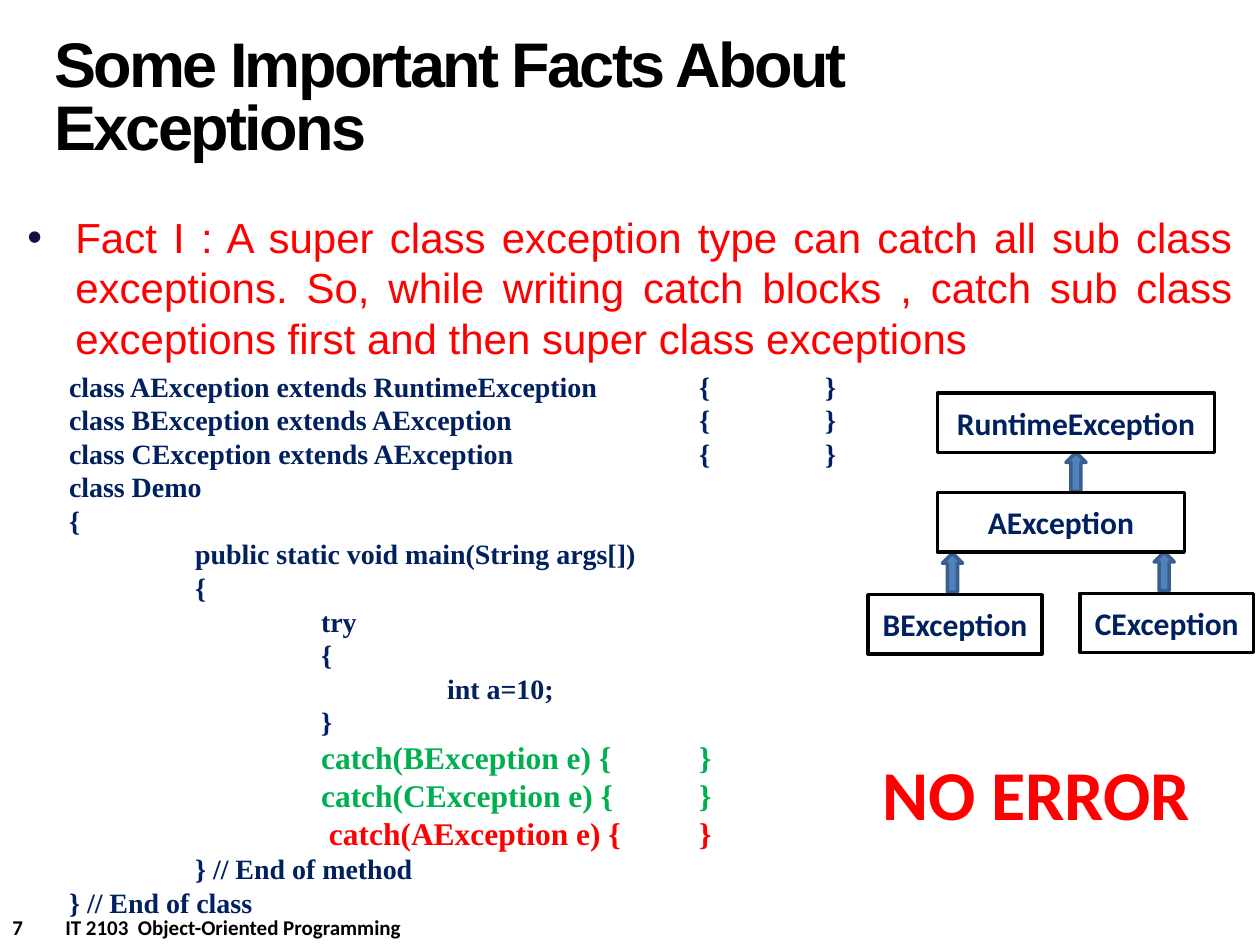
from lxml import etree
from pptx import Presentation
from pptx.dml.color import RGBColor
from pptx.enum.shapes import MSO_SHAPE
from pptx.enum.text import MSO_ANCHOR, PP_ALIGN
from pptx.oxml.ns import qn
from pptx.util import Inches, Pt

RECTANGLE, UP_ARROW = MSO_SHAPE.RECTANGLE, MSO_SHAPE.UP_ARROW
MIDDLE = MSO_ANCHOR.MIDDLE
LEFT, CENTER, JUSTIFY = PP_ALIGN.LEFT, PP_ALIGN.CENTER, PP_ALIGN.JUSTIFY
NAVY, RED, GREEN, BLACK = "002060", "FF0000", "00B050", "000000"


def color(value):
    return RGBColor.from_string(value)


def style(paragraph, size, name, value, bold=True, align=LEFT):
    paragraph.alignment = align
    font = paragraph.font
    font.size, font.name, font.bold = Pt(size), name, bold
    font.color.rgb = color(value)


deck = Presentation()
deck.slide_width, deck.slide_height = Inches(10), Inches(7.5)
page = deck.slides.add_slide(deck.slide_layouts[5])

footer = page.shapes.add_textbox(Inches(0), Inches(7.21), Inches(5), Inches(0.3))
footer.text_frame.word_wrap = True
paragraph = footer.text_frame.paragraphs[0]
paragraph.text = "7\tIT 2103  Object-Oriented Programming"
style(paragraph, 12, "Calibri", BLACK)
tabs = etree.Element(qn("a:tabLst"))
etree.SubElement(tabs, qn("a:tab"), pos=str(Inches(0.42)), algn="l")
paragraph._p.get_or_add_pPr().insert(0, tabs)

fact = page.shapes.add_textbox(Inches(0.12), Inches(1.63), Inches(9.76), Inches(1.49))
fact.text_frame.word_wrap = True
paragraph = fact.text_frame.paragraphs[0]
paragraph.text = (
    "Fact I : A super class exception type can catch all sub class exceptions. "
    "So, while writing catch blocks , catch sub class exceptions first "
    "and then super class exceptions"
)
style(paragraph, 24, "Arial", RED, bold=False, align=JUSTIFY)
paragraph.space_before = Pt(4.8)
properties = paragraph._p.get_or_add_pPr()
properties.set("marL", str(Inches(0.38)))
properties.set("indent", str(-Inches(0.38)))
bullet_color = etree.Element(qn("a:buClr"))
etree.SubElement(bullet_color, qn("a:srgbClr"), val="101141")
bullet_font = etree.Element(qn("a:buFont"), typeface="Arial")
bullet = etree.Element(qn("a:buChar"), char="•")
for element in (bullet_color, bullet_font, bullet):
    properties.insert(len(properties) - 1, element)

title = page.shapes.title
title.left, title.top = Inches(0.33), Inches(0.17)
title.width, title.height = Inches(6.92), Inches(1.25)
title.text_frame.vertical_anchor = MIDDLE
paragraph = title.text_frame.paragraphs[0]
paragraph.text = "Some Important Facts About Exceptions"
style(paragraph, 36, "Arial", BLACK)
paragraph.line_spacing = Pt(36)
paragraph.runs[0].font._element.set("spc", "-150")

code_lines = [
    ("class AException extends RuntimeException\t{\t}", 16, NAVY),
    ("class BException extends AException\t\t{\t}", 16, NAVY),
    ("class CException extends AException\t\t{\t}", 16, NAVY),
    ("class Demo", 16, NAVY),
    ("{", 16, NAVY),
    ("\tpublic static void main(String args[])", 16, NAVY),
    ("\t{", 16, NAVY),
    ("\t\ttry", 16, NAVY),
    ("\t\t{", 16, NAVY),
    ("\t\t\tint a=10;", 16, NAVY),
    ("\t\t}", 16, NAVY),
    ("\t\tcatch(BException e) {\t}", 18, GREEN),
    ("\t\tcatch(CException e) {\t}", 18, GREEN),
    ("\t\t catch(AException e) {\t}", 18, RED),
    ("\t} // End of method", 16, NAVY),
    ("} // End of class", 16, NAVY),
]
code = page.shapes.add_textbox(Inches(0.45), Inches(2.88), Inches(6.6), Inches(4.51))
code.text_frame.word_wrap = True
code.text_frame.text = "\n".join(line for line, size, value in code_lines)
for paragraph, (line, size, value) in zip(code.text_frame.paragraphs, code_lines):
    style(paragraph, size, "Times New Roman", value)
    paragraph._p.get_or_add_pPr().set("defTabSz", str(Inches(1)))

for left, top in [(8.46, 3.59), (7.48, 4.39), (9.16, 4.38)]:
    arrow = page.shapes.add_shape(UP_ARROW, Inches(left), Inches(top), Inches(0.16), Inches(0.31))
    arrow.shadow.inherit = False
    arrow.fill.solid()
    arrow.fill.fore_color.rgb = color("4F81BD")
    arrow.line.color.rgb = color("3A5F8C")
    arrow.line.width = Pt(2)

for name, left, top, width in [
    ("RuntimeException", 7.44, 3.12, 2.2),
    ("AException", 7.44, 3.91, 1.96),
    ("BException", 6.89, 4.72, 1.38),
    ("CException", 8.57, 4.71, 1.38),
]:
    box = page.shapes.add_shape(RECTANGLE, Inches(left), Inches(top), Inches(width), Inches(0.47))
    box.shadow.inherit = False
    box.fill.background()
    box.line.color.rgb = color(BLACK)
    box.line.width = Pt(2)
    box.text_frame.vertical_anchor = MIDDLE
    box.text_frame.text = name
    style(box.text_frame.paragraphs[0], 18, "Calibri", NAVY, align=CENTER)

verdict = page.shapes.add_textbox(Inches(6.89), Inches(5.91), Inches(2.67), Inches(0.77))
verdict.text_frame.word_wrap = False
verdict.text_frame.text = "NO ERROR"
style(verdict.text_frame.paragraphs[0], 40, "Calibri", RED, align=CENTER)

deck.save("out.pptx")
